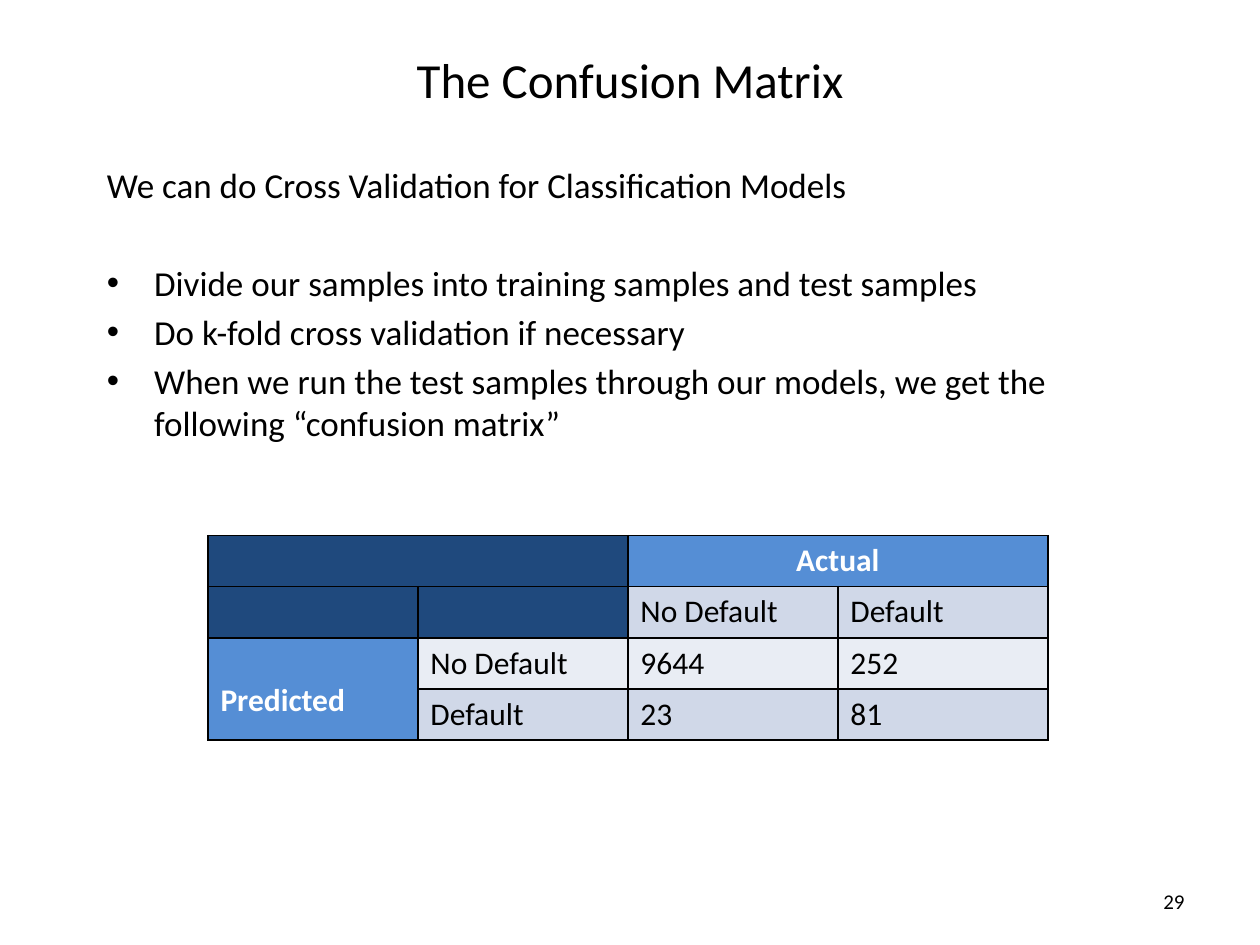
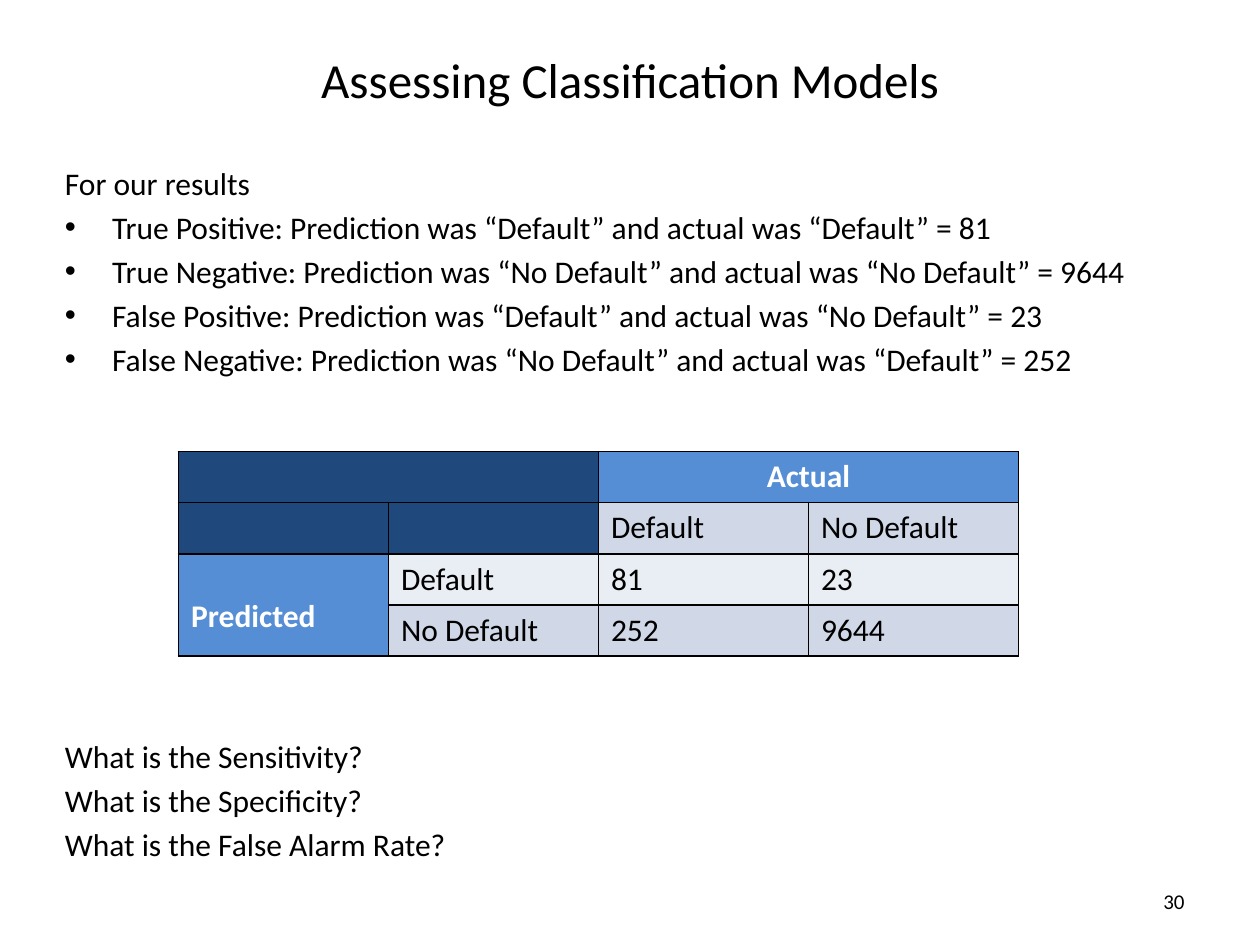
from dataclasses import dataclass
from typing import NamedTuple

from lxml.etree import SubElement
from pptx import Presentation
from pptx.dml.color import RGBColor
from pptx.enum.text import MSO_ANCHOR, PP_ALIGN
from pptx.oxml.ns import qn
from pptx.util import Inches, Pt

UNIT = Inches(1) // 12  # the slide is a grid of 120 columns by 90 rows
SLIDE_COLUMNS, SLIDE_ROWS = 120, 90


@dataclass(frozen=True)
class Theme:
    font: str = "Calibri"
    ink: str = "000000"
    paper: str = "FFFFFF"
    corner: str = "1F497D"
    heading: str = "558ED5"
    band_dark: str = "D0D8E8"
    band_light: str = "E9EDF4"
    title_size: int = 28
    table_size: int = 18
    number_size: int = 12
    border: float = 1
    indent: float = 4.5       # grid units
    space_before: float = 0.2  # share of the type size
    line_pitch: float = 1.4    # line and its space, as a share of the type size


class Box(NamedTuple):
    left: float
    top: float
    width: float
    height: float

    def lengths(self):
        return [round(side * UNIT) for side in self]


class Line(NamedTuple):
    text: str
    bulleted: bool = False
    skipped_lines: int = 0


THEME = Theme()
TITLE_BOX = Box(6, 0, 108, 15)
NUMBER_BOX = Box(86, 83.4, 28, 4.8)
MATRIX_SIZE = (80, 19.5)


def add_run(paragraph, text, size, color=THEME.ink, bold=False):
    run = paragraph.add_run()
    run.text = text
    run.font.name = THEME.font
    run.font.size = Pt(size)
    run.font.bold = bold
    run.font.color.rgb = RGBColor.from_string(color)


def add_frame(slide, box, anchor):
    frame = slide.shapes.add_textbox(*box.lengths()).text_frame
    frame.word_wrap = True
    frame.vertical_anchor = anchor
    return frame


def add_label(slide, box, text, size, alignment):
    paragraph = add_frame(slide, box, MSO_ANCHOR.MIDDLE).paragraphs[0]
    paragraph.alignment = alignment
    add_run(paragraph, text, size)


def add_bullet(paragraph):
    properties = paragraph._p.get_or_add_pPr()
    indent = round(THEME.indent * UNIT)
    properties.set("marL", str(indent))
    properties.set("indent", str(-indent))
    SubElement(properties, qn("a:buFont"), typeface="Arial")
    SubElement(properties, qn("a:buChar"), char="•")


def add_body(slide, box, lines, size):
    frame = add_frame(slide, box, MSO_ANCHOR.TOP)
    for index, line in enumerate(lines):
        paragraph = frame.add_paragraph() if index else frame.paragraphs[0]
        if index:
            gap = THEME.space_before + THEME.line_pitch * line.skipped_lines
            paragraph.space_before = Pt(size * gap)
        if line.bulleted:
            add_bullet(paragraph)
        add_run(paragraph, line.text, size)


def draw_borders(cell):
    properties = cell._tc.get_or_add_tcPr()
    for side in ("lnL", "lnR", "lnT", "lnB"):
        border = SubElement(properties, qn(f"a:{side}"), w=str(Pt(THEME.border)))
        fill = SubElement(border, qn("a:solidFill"))
        SubElement(fill, qn("a:srgbClr"), val=THEME.ink)


def fill_cell(cell, fill, text="", color=THEME.ink, bold=False):
    cell.fill.solid()
    cell.fill.fore_color.rgb = RGBColor.from_string(fill)
    paragraph = cell.text_frame.paragraphs[0]
    if text:
        add_run(paragraph, text, THEME.table_size, color, bold)
    else:
        paragraph.font.size = Pt(THEME.table_size)
    return paragraph


def add_confusion_matrix(slide, box, classes, counts):
    """Cross predicted classes (rows) with actual classes (columns)."""
    matrix = slide.shapes.add_table(4, 4, *box.lengths()).table
    for column in matrix.columns:
        column.width = round(box.width * UNIT / 4)
    for row in matrix.rows:
        row.height = round(box.height * UNIT / 4)
    for cell in matrix.iter_cells():
        draw_borders(cell)

    for row, column in ((0, 0), (0, 1), (1, 0), (1, 1)):
        fill_cell(matrix.cell(row, column), THEME.corner)
    matrix.cell(0, 0).merge(matrix.cell(0, 1))

    actual, predicted = matrix.cell(0, 2), matrix.cell(2, 0)
    fill_cell(matrix.cell(0, 3), THEME.heading)
    fill_cell(matrix.cell(3, 0), THEME.heading)
    fill_cell(actual, THEME.heading, "Actual", THEME.paper, True).alignment = PP_ALIGN.CENTER
    fill_cell(predicted, THEME.heading, "Predicted", THEME.paper, True)
    actual.merge(matrix.cell(0, 3))
    predicted.merge(matrix.cell(3, 0))
    predicted.margin_top = Inches(0.35)

    for column, name in enumerate(classes, start=2):
        fill_cell(matrix.cell(1, column), THEME.band_dark, name)
    bands = (THEME.band_light, THEME.band_dark)
    for row, (name, values, band) in enumerate(zip(classes, counts, bands), start=2):
        for column, text in enumerate((name, *values), start=1):
            fill_cell(matrix.cell(row, column), band, str(text))


def add_matrix_slide(deck, number, title, body_box, lines, body_size,
                     matrix_corner, classes, counts):
    slide = deck.slides.add_slide(deck.slide_layouts[6])
    add_label(slide, TITLE_BOX, title, THEME.title_size, PP_ALIGN.CENTER)
    add_body(slide, body_box, lines, body_size)
    add_label(slide, NUMBER_BOX, str(number), THEME.number_size, PP_ALIGN.RIGHT)
    add_confusion_matrix(slide, Box(*matrix_corner, *MATRIX_SIZE), classes, counts)


def main():
    deck = Presentation()
    deck.slide_width = SLIDE_COLUMNS * UNIT
    deck.slide_height = SLIDE_ROWS * UNIT

    add_matrix_slide(
        deck, 29, "The Confusion Matrix",
        body_box=Box(9, 15, 102, 70),
        lines=[
            Line("We can do Cross Validation for Classification Models"),
            Line("Divide our samples into training samples and test samples", True, 1),
            Line("Do k-fold cross validation if necessary", True),
            Line("When we run the test samples through our models, we get the "
                 "following “confusion matrix”", True),
        ],
        body_size=20,
        matrix_corner=(19.8, 51),
        classes=("No Default", "Default"),
        counts=((9644, 252), (23, 81)),
    )
    add_matrix_slide(
        deck, 30, "Assessing Classification Models",
        body_box=Box(5, 15, 110, 70),
        lines=[
            Line("For our results"),
            Line("True Positive: Prediction was “Default” and actual was “Default” = 81", True),
            Line("True Negative: Prediction was “No Default” and actual was “No Default” = 9644", True),
            Line("False Positive: Prediction was “Default” and actual was “No Default” = 23", True),
            Line("False Negative: Prediction was “No Default” and actual was “Default” = 252", True),
            Line("What is the Sensitivity?", skipped_lines=8),
            Line("What is the Specificity?"),
            Line("What is the False Alarm Rate?"),
        ],
        body_size=18,
        matrix_corner=(17, 43),
        classes=("Default", "No Default"),
        counts=((81, 23), (252, 9644)),
    )
    deck.save("out.pptx")


if __name__ == "__main__":
    main()
